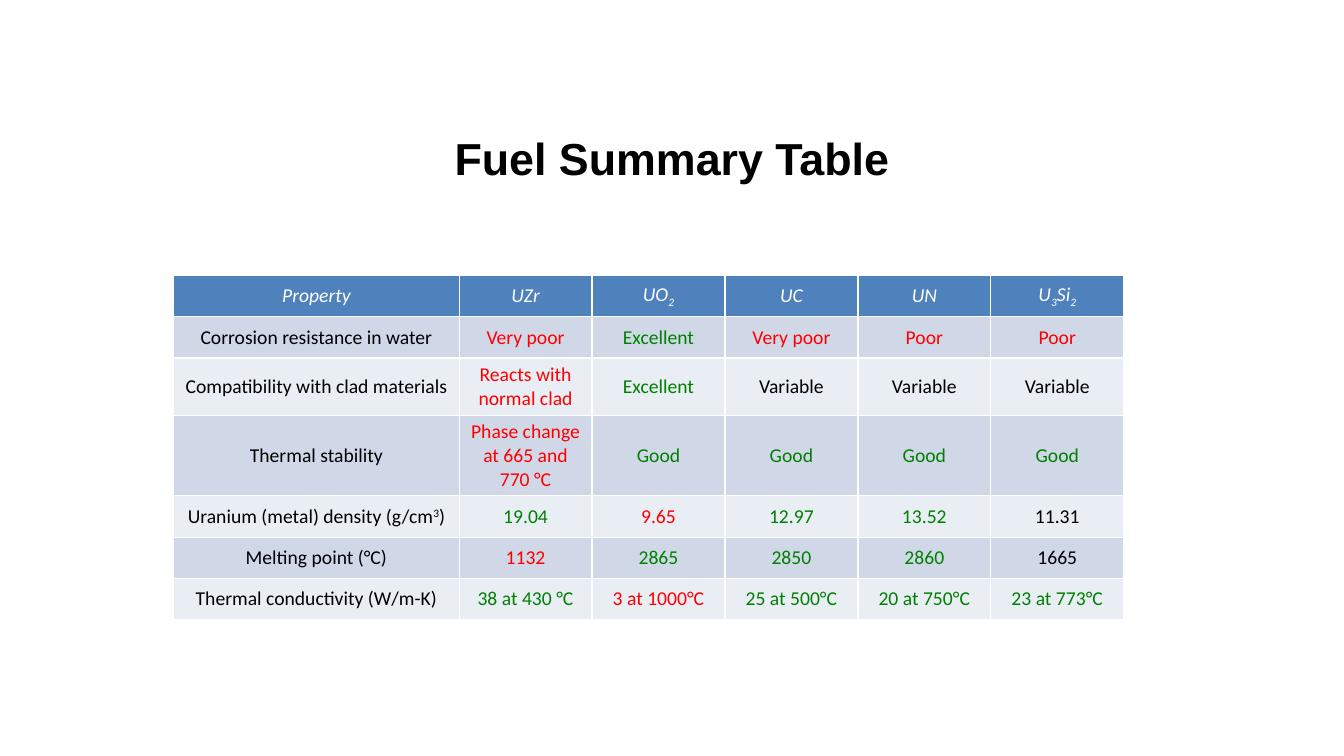
from lxml.etree import SubElement
from pptx import Presentation
from pptx.dml.color import RGBColor
from pptx.enum.text import MSO_ANCHOR, PP_ALIGN
from pptx.oxml.ns import qn
from pptx.util import Cm, Pt


def color(value):
    return RGBColor.from_string(value)


def write(frame, text, font="Calibri", size=14, fill="000000", bold=False, italic=False, shift=0):
    paragraph = frame.paragraphs[0]
    paragraph.alignment = PP_ALIGN.CENTER
    for index, part in enumerate(text.split("|")):
        run = paragraph.add_run()
        run.text = part
        run.font.name = font
        run.font.size = Pt(size)
        run.font.bold = bold
        run.font.italic = italic
        run.font.color.rgb = color(fill)
        if index % 2:
            run.font._element.set("baseline", str(shift * 1000))


TONES = {"W": "FFFFFF", "K": "000000", "R": "FF0000", "G": "008000"}
HEADER_FILL = "4F81BD"
BAND_FILLS = ["E9EDF4", "D0D8E8"]
COLUMN_WIDTHS = [7.19] + [3.35] * 5
ROW_HEIGHT = 1.04

# Text between bars is raised or lowered; each tone letter colours one cell.
FUEL_ROWS = [
    ("WWWWWW", ["Property", "UZr", "UO|2", "UC", "UN", "U|3|Si|2"]),
    ("KRGRRR", ["Corrosion resistance in water", "Very poor", "Excellent", "Very poor", "Poor", "Poor"]),
    ("KRGKKK", ["Compatibility with clad materials", "Reacts with normal clad", "Excellent",
                "Variable", "Variable", "Variable"]),
    ("KRGGGG", ["Thermal stability", "Phase change at 665 and 770 °C", "Good", "Good", "Good", "Good"]),
    ("KGRGGK", ["Uranium (metal) density (g/cm|3|)", "19.04", "9.65", "12.97", "13.52", "11.31"]),
    ("KRGGGK", ["Melting point (°C)", "1132", "2865", "2850", "2860", "1665"]),
    ("KGRGGG", ["Thermal conductivity (W/m-K)", "38 at 430 °C", "3 at 1000°C",
                "25 at 500°C", "20 at 750°C", "23 at 773°C"]),
]

presentation = Presentation()
presentation.slide_width = Cm(33.87)
presentation.slide_height = Cm(19.05)
slide = presentation.slides.add_slide(presentation.slide_layouts[6])

title = slide.shapes.add_textbox(Cm(1.7), Cm(2.49), Cm(30.48), Cm(2.97))
title.text_frame.word_wrap = True
title.text_frame.vertical_anchor = MSO_ANCHOR.MIDDLE
write(title.text_frame, "Fuel Summary Table", font="Arial", size=32, bold=True)

table = slide.shapes.add_table(
    len(FUEL_ROWS), len(COLUMN_WIDTHS), Cm(4.38), Cm(6.94),
    Cm(sum(COLUMN_WIDTHS)), Cm(ROW_HEIGHT * len(FUEL_ROWS)),
).table
for column, width in zip(table.columns, COLUMN_WIDTHS):
    column.width = Cm(width)

for row_index, (tones, texts) in enumerate(FUEL_ROWS):
    table.rows[row_index].height = Cm(ROW_HEIGHT)
    is_header = row_index == 0
    for column_index, (tone, text) in enumerate(zip(tones, texts)):
        cell = table.cell(row_index, column_index)
        cell.vertical_anchor = MSO_ANCHOR.MIDDLE
        properties = cell._tc.get_or_add_tcPr()
        for side in ("a:lnL", "a:lnR", "a:lnT", "a:lnB"):
            border = SubElement(properties, qn(side), w=str(Pt(1)))
            border_fill = SubElement(border, qn("a:solidFill"))
            SubElement(border_fill, qn("a:srgbClr"), val="FFFFFF")
        cell.fill.solid()
        cell.fill.fore_color.rgb = color(HEADER_FILL if is_header else BAND_FILLS[row_index % 2])
        write(cell.text_frame, text, fill=TONES[tone], italic=is_header, shift=-25 if is_header else 30)

presentation.save("out.pptx")
